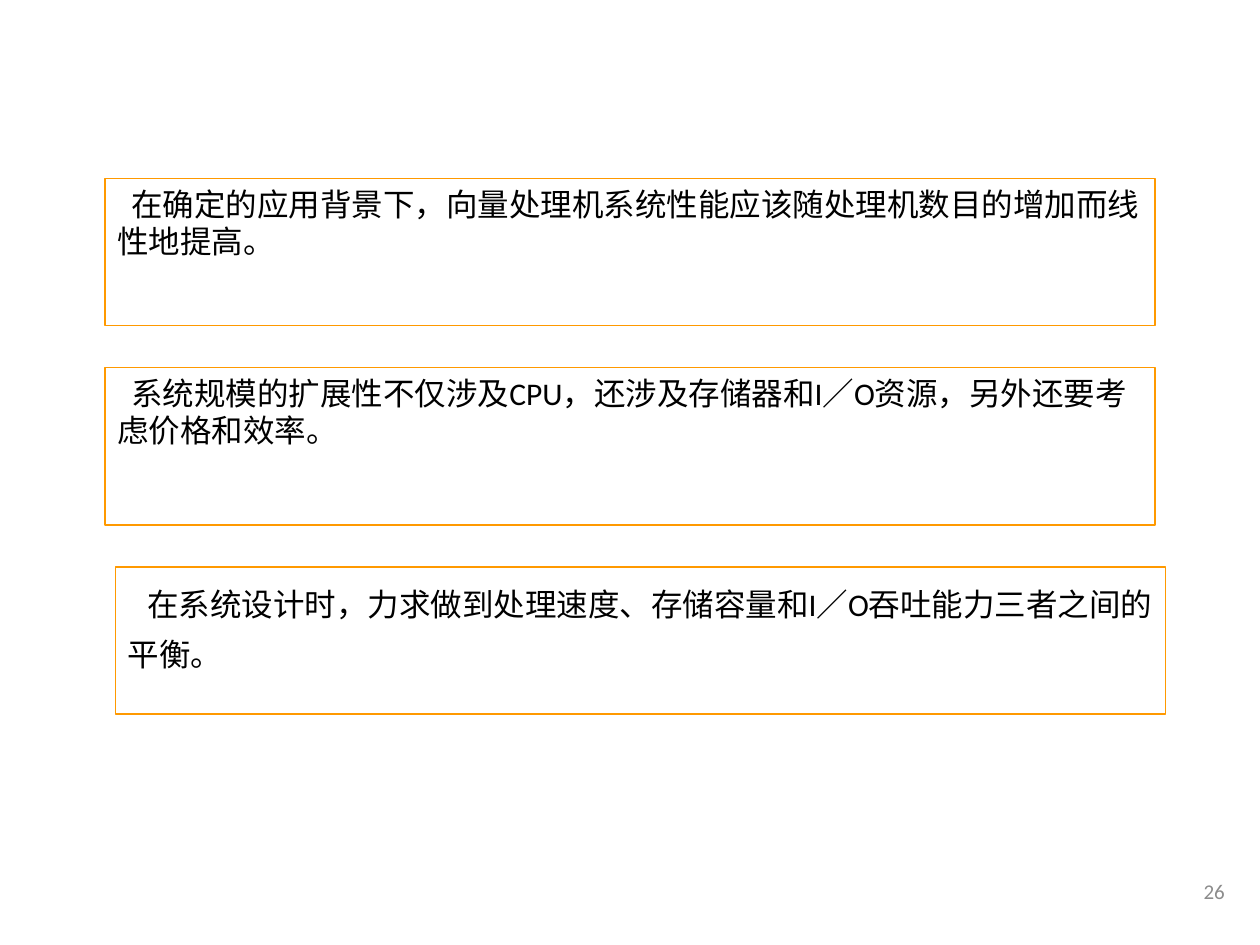
import pptx
import pptx.dml.color
import pptx.enum.shapes
import pptx.enum.text
import pptx.util

Pt = pptx.util.Pt
ORANGE = pptx.dml.color.RGBColor(0xFF, 0x99, 0x00)
BLACK = pptx.dml.color.RGBColor(0x00, 0x00, 0x00)
GRAY = pptx.dml.color.RGBColor(0x8C, 0x8C, 0x8C)

deck = pptx.Presentation()
deck.slide_width, deck.slide_height = Pt(720), Pt(540)
slide = deck.slides.add_slide(deck.slide_layouts[6])

# Design principles: left, top, height, first-line indent, line spacing, text
principles = [
    (60, 102, 84, 8, None,
     "在确定的应用背景下，向量处理机系统性能应该随处理机数目的增加而线性地提高。"),
    (60, 210, 90, 8, None,
     "系统规模的扩展性不仅涉及CPU，还涉及存储器和I／O资源，另外还要考虑价格和效率。"),
    (66, 324, 84, 11, Pt(28.5),
     "在系统设计时，力求做到处理速度、存储容量和I／O吞吐能力三者之间的平衡。"),
]
for left, top, height, indent, spacing, text in principles:
    principle = slide.shapes.add_shape(
        pptx.enum.shapes.MSO_SHAPE.RECTANGLE, Pt(left), Pt(top), Pt(600), Pt(height))
    principle.shadow.inherit = False
    principle.fill.background()
    principle.line.color.rgb = ORANGE
    principle.line.width = Pt(0.75)
    principle.text_frame.word_wrap = True
    principle.text_frame.vertical_anchor = pptx.enum.text.MSO_ANCHOR.TOP
    statement = principle.text_frame.paragraphs[0]
    statement.text = text
    statement.alignment = pptx.enum.text.PP_ALIGN.LEFT
    statement.line_spacing = spacing
    statement._p.get_or_add_pPr().set("indent", str(Pt(indent)))
    statement.font.name = "Calibri"
    statement.font.size = Pt(18)
    statement.font.color.rgb = BLACK

# Page number
page_number = slide.shapes.add_textbox(Pt(557), Pt(491), Pt(150), Pt(36))
page_number.text_frame.word_wrap = True
page_number.text_frame.vertical_anchor = pptx.enum.text.MSO_ANCHOR.MIDDLE
number = page_number.text_frame.paragraphs[0]
number.text = "26"
number.alignment = pptx.enum.text.PP_ALIGN.RIGHT
number.font.name = "Calibri"
number.font.size = Pt(12)
number.font.color.rgb = GRAY

deck.save("out.pptx")
